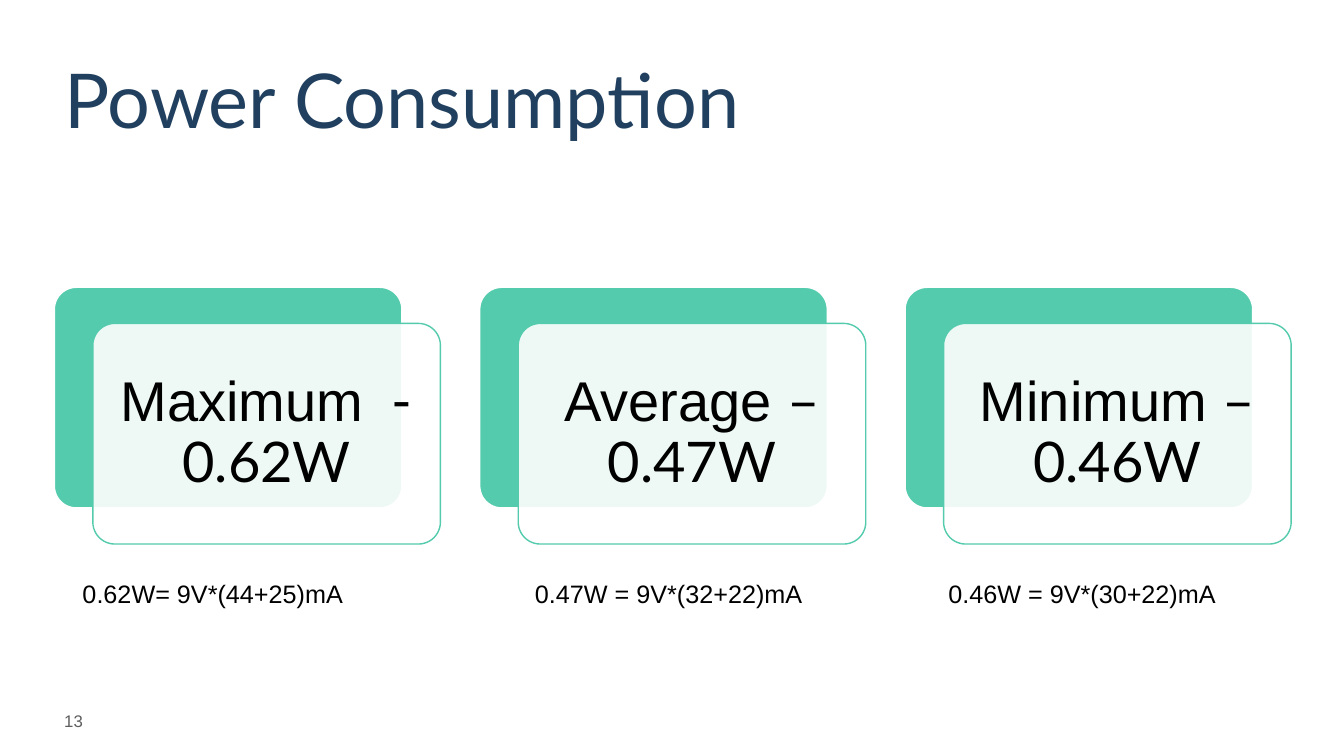
from dataclasses import dataclass

from lxml.etree import SubElement
from pptx import Presentation
from pptx.dml.color import RGBColor
from pptx.enum.shapes import MSO_SHAPE as Shape
from pptx.enum.text import MSO_ANCHOR as Anchor, MSO_AUTO_SIZE as AutoSize, PP_ALIGN as Align
from pptx.oxml.ns import qn
from pptx.util import Cm, Pt

TITLE = "Power Consumption"
PAGE_NUMBER = "13"
# level, reading, formula, formula left and width in cm
LEVELS = [
    ("Maximum", "\xa0\xa0- 0.62W", "0.62W= 9V*(44+25)mA", 1.83, 9.02),
    ("Average ", "– 0.47W", "0.47W = 9V*(32+22)mA", 13.23, 7.8),
    ("Minimum ", "– 0.46W", "0.46W = 9V*(30+22)mA", 23.65, 7.8),
]


@dataclass(frozen=True)
class Theme:
    navy: RGBColor = RGBColor(0x21, 0x40, 0x5F)
    green: RGBColor = RGBColor(0x54, 0xCB, 0xAD)
    white: RGBColor = RGBColor(0xFF, 0xFF, 0xFF)
    black: RGBColor = RGBColor(0, 0, 0)
    grey: RGBColor = RGBColor(0x5E, 0x5E, 0x5E)
    heading_font: str = "Lato"
    body_font: str = "Arial"
    title_size: Pt = Pt(54)
    card_size: Pt = Pt(40)
    formula_size: Pt = Pt(18)
    page_size: Pt = Pt(12)


THEME = Theme()
MARGIN = Cm(1.37)
CARD_TOP, CARD_WIDTH, CARD_HEIGHT = Cm(7.24), Cm(8.76), Cm(5.56)
CARD_PITCH = Cm(10.72)
OFFSET_X, OFFSET_Y = Cm(0.97), Cm(0.91)
CARD_INSET = Cm(0.43)
FORMULA_TOP, LABEL_HEIGHT = Cm(14.45), Cm(1.02)


def set_font(font, name, size, color):
    font.name, font.size = name, size
    font.color.rgb = color


def add_panel(slide, left, top, fill, outline):
    panel = slide.shapes.add_shape(Shape.ROUNDED_RECTANGLE, left, top, CARD_WIDTH, CARD_HEIGHT)
    panel.adjustments[0] = 0.1
    panel.shadow.inherit = False
    panel.fill.solid()
    panel.fill.fore_color.rgb = fill
    panel.line.color.rgb = outline
    panel.line.width = Pt(1)
    return panel


def make_translucent(panel, percent):
    color = panel.fill._xPr.find(qn("a:solidFill"))[0]
    SubElement(color, qn("a:alpha"), val=str(percent * 1000))


def add_card(slide, left, level, reading):
    add_panel(slide, left, CARD_TOP, THEME.green, THEME.white)
    front = add_panel(slide, left + OFFSET_X, CARD_TOP + OFFSET_Y, THEME.white, THEME.green)
    make_translucent(front, 90)
    frame = front.text_frame
    frame.word_wrap = True
    frame.vertical_anchor = Anchor.MIDDLE
    frame.margin_left = frame.margin_right = CARD_INSET
    frame.margin_top = frame.margin_bottom = CARD_INSET
    paragraph = frame.paragraphs[0]
    paragraph.alignment = Align.CENTER
    paragraph.line_spacing = 0.9
    for words, font_name in ((level, THEME.body_font), (reading, THEME.heading_font)):
        run = paragraph.add_run()
        run.text = words
        set_font(run.font, font_name, THEME.card_size, THEME.black)


def add_label(slide, words, left, top, width, size, color, anchor=Anchor.TOP):
    frame = slide.shapes.add_textbox(left, top, width, LABEL_HEIGHT).text_frame
    frame.word_wrap = True
    frame.vertical_anchor = anchor
    frame.text = words
    set_font(frame.paragraphs[0].font, THEME.body_font, size, color)


def add_title(slide):
    title = slide.shapes.title
    title.left, title.top, title.width, title.height = MARGIN, Cm(1.02), Cm(31.17), Cm(3.18)
    frame = title.text_frame
    frame.text = TITLE
    frame.auto_size = AutoSize.NONE
    frame.vertical_anchor = Anchor.MIDDLE
    paragraph = frame.paragraphs[0]
    paragraph.alignment = Align.LEFT
    paragraph.line_spacing = 0.9
    set_font(paragraph.font, THEME.heading_font, THEME.title_size, THEME.navy)


def main():
    deck = Presentation()
    deck.slide_width, deck.slide_height = Cm(33.87), Cm(19.05)
    slide = deck.slides.add_slide(deck.slide_layouts[5])
    add_title(slide)
    add_label(slide, PAGE_NUMBER, MARGIN, Cm(17.65), Cm(2.74),
              THEME.page_size, THEME.grey, Anchor.MIDDLE)
    for column, (level, reading, formula, formula_left, formula_width) in enumerate(LEVELS):
        add_card(slide, MARGIN + column * CARD_PITCH, level, reading)
        add_label(slide, formula, Cm(formula_left), FORMULA_TOP, Cm(formula_width),
                  THEME.formula_size, THEME.black)
    deck.save("out.pptx")


if __name__ == "__main__":
    main()
